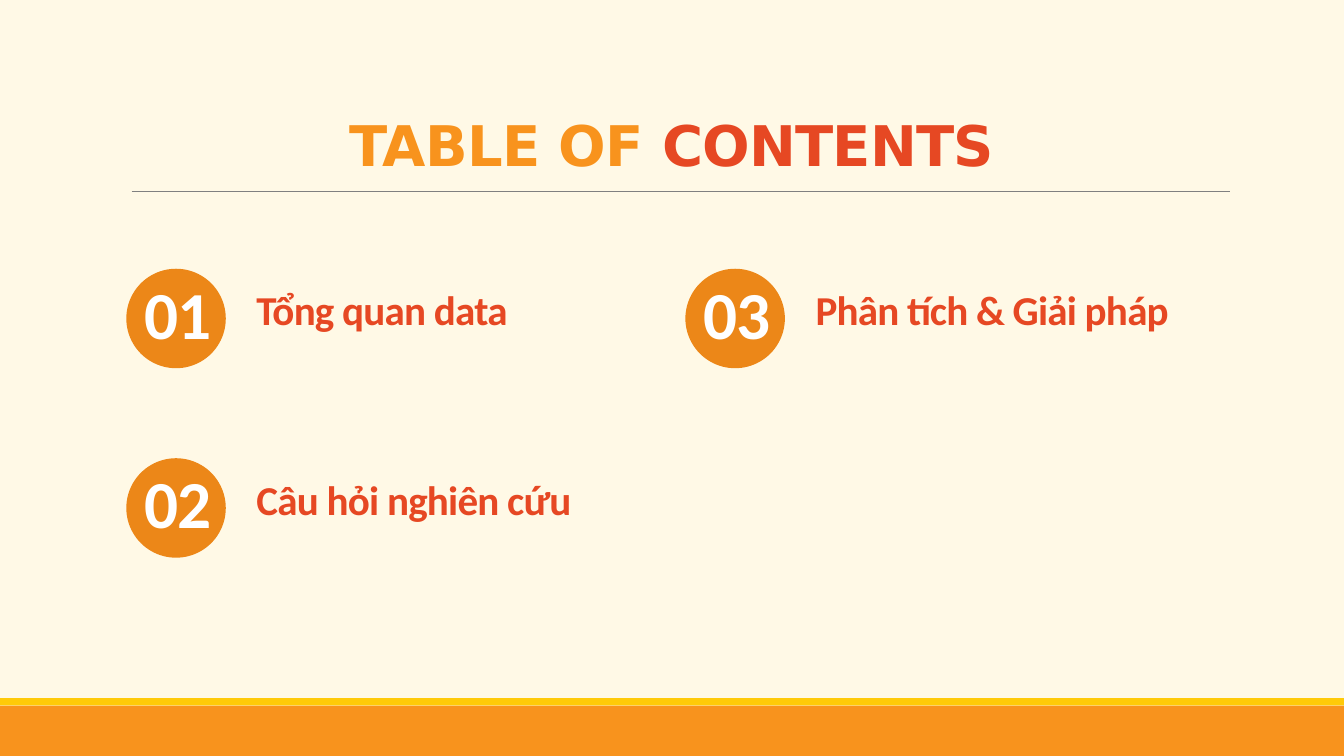
"""Build a table of contents slide on a square grid of 100 columns."""
from dataclasses import dataclass
from typing import NamedTuple

from lxml.etree import SubElement
from pptx import Presentation
from pptx.dml.color import RGBColor
from pptx.enum.shapes import MSO_CONNECTOR, MSO_SHAPE
from pptx.enum.text import MSO_ANCHOR, PP_ALIGN
from pptx.oxml.ns import qn
from pptx.slide import Slide
from pptx.util import Inches, Pt

COLUMNS, ROWS = 100, 56.25
UNIT = Inches(10) / COLUMNS
CREAM, ORANGE, YELLOW = "FFF9E6", "F8931D", "FFCA08"
AMBER, RED, GREY, WHITE = "EC8718", "E64823", "808080", "FFFFFF"
BADGE_SIZE = 7.4
BADGE_COLUMNS, BADGE_ROWS = (9.4, 51), (20, 34.1)


class Box(NamedTuple):
    """Hold a place and size in grid columns and rows."""
    column: float
    row: float
    width: float
    height: float


class Piece(NamedTuple):
    """Hold a stretch of text in one colour."""
    text: str
    color: str


@dataclass(frozen=True)
class TextStyle:
    """Describe the look of a text box."""
    font: str
    size: float
    align: PP_ALIGN
    anchor: MSO_ANCHOR


@dataclass(frozen=True)
class Entry:
    """Describe one line of the contents."""
    number: str
    label: str
    column: int
    row: int
    width: float


HEADING = TextStyle("DejaVu Sans", 30, PP_ALIGN.CENTER, MSO_ANCHOR.TOP)
NUMBER = TextStyle("Calibri", 36, PP_ALIGN.CENTER, MSO_ANCHOR.MIDDLE)
LABEL = TextStyle("Calibri", 22, PP_ALIGN.LEFT, MSO_ANCHOR.BOTTOM)

ENTRIES = (
    Entry("01", "Tổng quan data", 0, 0, 29.1),
    Entry("02", "Câu hỏi nghiên cứu", 0, 1, 31.5),
    Entry("03", "Phân tích & Giải pháp", 1, 0, 35.1),
)


def grid(*lengths: float) -> list[int]:
    """Turn grid lengths into slide lengths."""
    return [round(length * UNIT) for length in lengths]


def rgb(color: str) -> RGBColor:
    """Turn a hex string into a colour."""
    return RGBColor.from_string(color)


def apply_format(target: object, values: dict[str, object]) -> None:
    """Set attributes from a dict of format values."""
    for name, value in values.items():
        setattr(target, name, value)


def add_filled(slide: Slide, kind: MSO_SHAPE, box: Box, color: str) -> None:
    """Draw a plain filled shape."""
    shape = slide.shapes.add_shape(kind, *grid(*box))
    shape.shadow.inherit = False
    shape.fill.solid()
    shape.fill.fore_color.rgb = rgb(color)
    shape.line.fill.background()


def add_rule(slide: Slide, left: float, right: float, row: float) -> None:
    """Draw the thin line under the heading."""
    rule = slide.shapes.add_connector(
        MSO_CONNECTOR.STRAIGHT, *grid(left, row, right, row))
    rule.line.color.rgb = rgb(GREY)
    rule.line.width = Pt(0.5)
    SubElement(rule._element.spPr, qn("a:effectLst"))


def add_text(slide: Slide, box: Box, style: TextStyle, *pieces: Piece) -> None:
    """Write one paragraph made of coloured pieces."""
    frame = slide.shapes.add_textbox(*grid(*box)).text_frame
    margins = dict.fromkeys(
        ("margin_left", "margin_top", "margin_right", "margin_bottom"), Inches(0.1))
    apply_format(frame, {
        "word_wrap": True, "vertical_anchor": style.anchor, **margins})
    paragraph = frame.paragraphs[0]
    apply_format(paragraph, {"alignment": style.align, "line_spacing": 0.85})
    for piece in pieces:
        run = paragraph.add_run()
        run.text = piece.text
        apply_format(run.font, {
            "name": style.font, "size": Pt(style.size), "bold": True})
        run.font.color.rgb = rgb(piece.color)
        run._r.get_or_add_rPr().set("spc", "-40")


def add_entry(slide: Slide, entry: Entry) -> None:
    """Draw a numbered badge with its label."""
    column, row = BADGE_COLUMNS[entry.column], BADGE_ROWS[entry.row]
    add_filled(slide, MSO_SHAPE.OVAL, Box(column, row, BADGE_SIZE, BADGE_SIZE), AMBER)
    add_text(slide, Box(column + 0.15, row + 0.95, BADGE_SIZE, 5.5), NUMBER,
             Piece(entry.number, WHITE))
    add_text(slide, Box(column + 8.7, row + 1.55, entry.width, 4.3), LABEL,
             Piece(entry.label, RED))


def main() -> None:
    """Build and save the slide."""
    presentation = Presentation()
    width, height = grid(COLUMNS, ROWS)
    apply_format(presentation, {"slide_width": width, "slide_height": height})
    slide = presentation.slides.add_slide(presentation.slide_layouts[6])
    slide.background.fill.solid()
    slide.background.fill.fore_color.rgb = rgb(CREAM)
    add_filled(slide, MSO_SHAPE.RECTANGLE, Box(0, 52.5, COLUMNS, ROWS - 52.5), ORANGE)
    add_filled(slide, MSO_SHAPE.RECTANGLE, Box(0, 51.95, COLUMNS, 0.55), YELLOW)
    add_rule(slide, 9.8, 91.5, 14.25)
    add_text(slide, Box(7.8, 8, 84.4, 6.5), HEADING,
             Piece("TABLE OF ", ORANGE), Piece("CONTENTS", RED))
    for entry in ENTRIES:
        add_entry(slide, entry)
    presentation.save("out.pptx")


if __name__ == "__main__":
    main()
